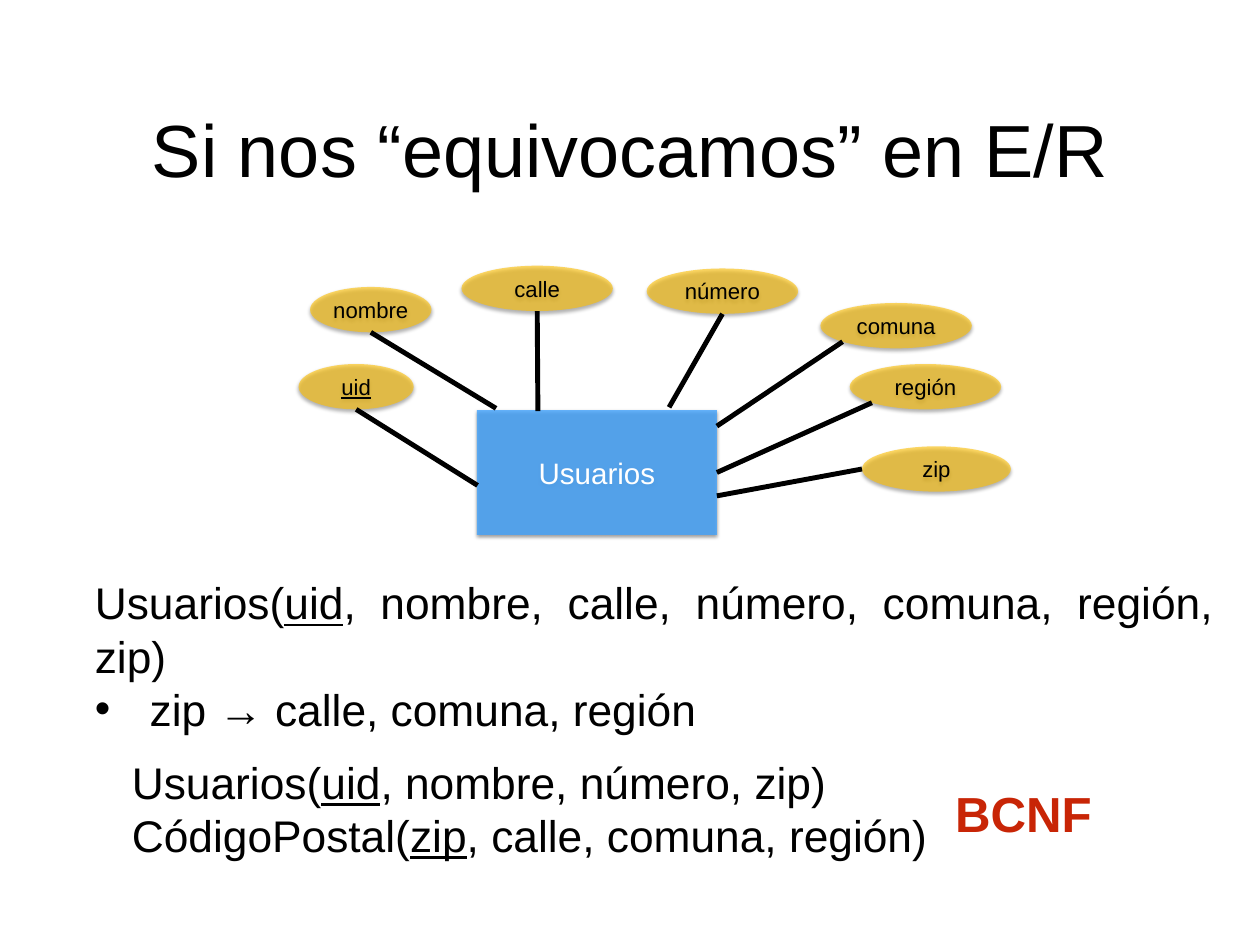
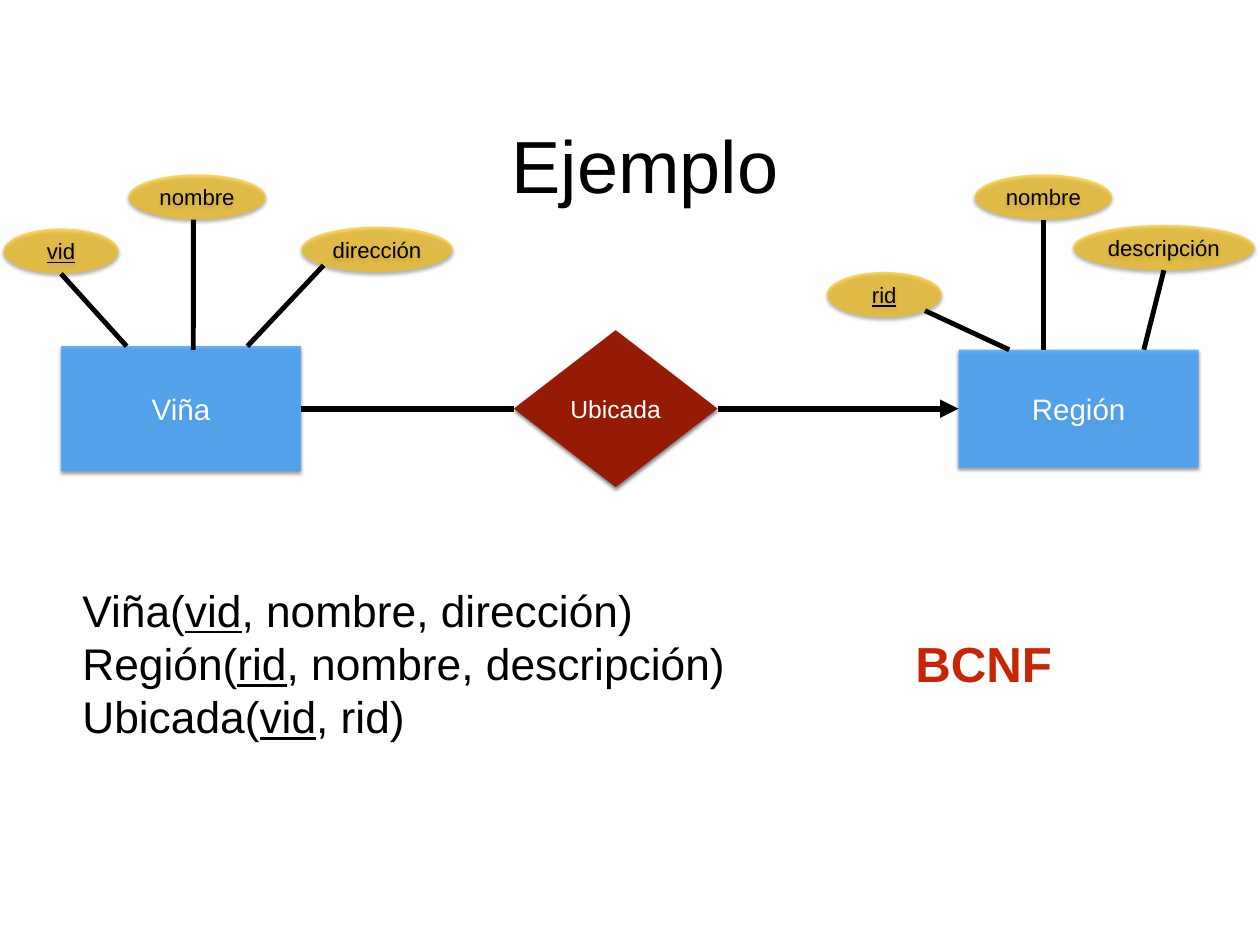
"""Build two slides on E/R diagrams and BCNF."""
import dataclasses
import math

import lxml.etree
import pptx
import pptx.dml.color
import pptx.enum.shapes
import pptx.enum.text
import pptx.oxml.ns
import pptx.util

Cm = pptx.util.Cm
Pt = pptx.util.Pt
qn = pptx.oxml.ns.qn
Kind = pptx.enum.shapes.MSO_SHAPE
Align = pptx.enum.text.PP_ALIGN


@dataclasses.dataclass(frozen=True)
class Theme:
    """Colours, font and type sizes in points."""
    font: str = "Arial"
    ink: str = "000000"
    white: str = "FFFFFF"
    blue: str = "42A3FD"
    gold: str = "FFC000"
    brick: str = "961B04"
    red: str = "C82506"
    title: int = 60
    badge: int = 40
    body: int = 36
    box: int = 24
    link: int = 20
    oval: int = 18
    thin: int = 4
    thick: int = 5


THEME = Theme()


def rgb(code):
    """Turn a hex code into a colour."""
    return pptx.dml.color.RGBColor.from_string(code)


def sub(node, tag, **attrs):
    """Add a drawing element with attributes."""
    return lxml.etree.SubElement(node, qn(tag), attrs)


def write(para, text, size, color, align, bold=False):
    """Fill a paragraph, underlining the parts between underscores."""
    para.alignment = align
    for i, part in enumerate(text.split("_")):
        if part:
            run = para.add_run()
            run.text = part
            font = run.font
            font.name, font.size, font.bold = THEME.font, Pt(size), bold
            font.color.rgb = rgb(color)
            font.underline = i % 2 == 1


def frame(shape, wrap):
    """Set margins, anchor and wrapping, and return the text frame."""
    text = shape.text_frame
    text.margin_left = text.margin_right = Cm(0.15)
    text.margin_top = text.margin_bottom = Cm(0.15)
    text.vertical_anchor = pptx.enum.text.MSO_ANCHOR.MIDDLE
    text.word_wrap = wrap
    return text


def label(slide, lines, area, size, color=THEME.ink, align=Align.JUSTIFY,
          bold=False):
    """Add a text box with one paragraph per line."""
    box = slide.shapes.add_textbox(*map(Cm, area))
    text = frame(box, True)
    text.auto_size = pptx.enum.text.MSO_AUTO_SIZE.SHAPE_TO_FIT_TEXT
    for i, line in enumerate(lines):
        para = text.add_paragraph() if i else text.paragraphs[0]
        write(para, line, size, color, align, bold)
    return text


def title(slide, text, left, top, width):
    """Add the slide title."""
    label(slide, [text], (left, top, width, 2.84), THEME.title,
          align=Align.CENTER)


def badge(slide, left, top):
    """Add the red normal form mark."""
    label(slide, ["BCNF"], (left, top, 8.28, 2), THEME.badge, THEME.red,
          bold=True)


def bullet(para):
    """Give a paragraph a hanging bullet."""
    props = para._p.get_or_add_pPr()
    props.set("marL", str(Cm(1.57)))
    props.set("indent", str(Cm(-1.57)))
    sub(sub(props, "a:buClr"), "a:srgbClr", val=THEME.ink)
    sub(props, "a:buFont", typeface=THEME.font)
    sub(props, "a:buChar", char="•")


def node(slide, kind, text, area, fill, size, color=THEME.white, alpha=100):
    """Add a filled shape with a soft shadow and centred text."""
    shape = slide.shapes.add_shape(kind, *map(Cm, area))
    shape.fill.solid()
    shape.fill.fore_color.rgb = rgb(fill)
    shape.line.fill.background()
    shape.shadow.inherit = False
    props = shape.element.spPr
    if alpha < 100:
        paint = props.find(qn("a:solidFill"))[0]
        sub(paint, "a:alpha", val=str(alpha * 1000))
    shade = sub(props.find(qn("a:effectLst")), "a:outerShdw",
                blurRad=str(Pt(3)), dist=str(Pt(2)), dir="5400000",
                rotWithShape="0")
    sub(sub(shade, "a:srgbClr", val=THEME.ink), "a:alpha", val="50000")
    write(frame(shape, False).paragraphs[0], text, size, color, Align.CENTER)
    return shape


def entity(slide, text, left, top, height):
    """Add an entity box."""
    return node(slide, Kind.RECTANGLE, text, (left, top, 6.88, height),
                THEME.blue, THEME.box, alpha=80)


def wire(slide, start, end, width):
    """Add a straight black line between two points."""
    line = slide.shapes.add_connector(
        pptx.enum.shapes.MSO_CONNECTOR.STRAIGHT, *map(Cm, start + end))
    line.line.color.rgb = rgb(THEME.ink)
    line.line.width = Pt(width)
    sub(line.element.spPr, "a:effectLst")
    return line


def join(slide, first, second):
    """Link the right side of one shape to the left side of another."""
    line = wire(slide, (0, 0), (0, 0), THEME.thick)
    line.begin_connect(first, 3)
    line.end_connect(second, 1)
    return line


def field(slide, text, left, top, width, angle, end):
    """Add an attribute oval and its line, leaving the rim at an angle."""
    high = 1.3
    node(slide, Kind.OVAL, text, (left, top, width, high), THEME.gold,
         THEME.oval, THEME.ink, 60)
    turn = math.radians(angle)
    start = (left + width / 2 * (1 + math.cos(turn)),
             top + high / 2 * (1 + math.sin(turn)))
    return wire(slide, start, end, THEME.thin)


def users(slide):
    """Draw the slide on the mistaken design."""
    box = entity(slide, "Usuarios", 13.67, 11.76, 3.58)
    for item in (
        ("_uid_", 8.56, 10.44, 3.3, 90, (13.69, 13.92)),
        ("nombre", 8.89, 8.23, 3.48, 90, (14.22, 11.71)),
        ("calle", 13.23, 7.62, 4.34, 90, (15.42, 11.79)),
        ("número", 18.54, 7.7, 4.34, 90, (19.18, 11.68)),
        ("comuna", 23.52, 8.69, 4.34, 135, (20.55, 12.22)),
        ("zip", 24.71, 12.8, 4.27, 180, (20.55, 14.22)),
    ):
        field(slide, *item)
    line = field(slide, "región", 24.36, 10.44, 4.34, 135, (20.55, 13.55))
    line.end_connect(box, 3)
    text = label(slide, [
        "Usuarios(_uid_, nombre, calle, número, comuna, región, zip)",
        "zip → calle, comuna, región",
    ], (2.57, 17.12, 32.36, 3.35), THEME.body)
    bullet(text.paragraphs[1])
    label(slide, [
        "Usuarios(_uid_, nombre, número, zip)",
        "CódigoPostal(_zip_, calle, comuna, región)",
    ], (3.63, 21.51, 31.14, 3.35), THEME.body)
    badge(slide, 27.23, 22.3)
    title(slide, "Si nos “equivocamos” en E/R", 0, 2.82, 36.12)


def wines(slide):
    """Draw the slide with the example."""
    left = entity(slide, "Viña", 1.75, 9.93, 3.58)
    right = entity(slide, "Región", 27.48, 10.03, 3.38)
    link = node(slide, Kind.DIAMOND, "Ubicada", (14.73, 9.47, 5.84, 4.5),
                THEME.brick, THEME.link)
    join(slide, left, link)
    arrow = join(slide, link, right)
    sub(arrow.element.spPr.find(qn("a:ln")), "a:tailEnd", type="triangle")
    for item in (
        ("_vid_", 0.1, 6.55, 3.3, 90, (3.63, 9.93)),
        ("nombre", 3.68, 5, 3.94, 93, (5.54, 10.03)),
        ("dirección", 8.64, 6.5, 4.34, 135, (7.09, 9.93)),
        ("_rid_", 23.7, 7.8, 3.3, 45, (28.93, 10.03)),
        ("nombre", 27.94, 5, 3.94, 90, (29.91, 10.03)),
        ("descripción", 30.76, 6.45, 5.21, 90, (32.79, 10.03)),
    ):
        field(slide, *item)
    label(slide, [
        "Viña(_vid_, nombre, dirección)",
        "Región(_rid_, nombre, descripción)",
        "Ubicada(_vid_, rid)",
    ], (2.21, 16.56, 31.14, 4.9), THEME.body)
    badge(slide, 26.09, 18.01)
    title(slide, "Ejemplo", 13.46, 3.28, 10.06)


def main():
    """Build and save the deck."""
    deck = pptx.Presentation()
    deck.slide_width, deck.slide_height = Cm(36.12), Cm(27.1)
    for draw in (users, wines):
        draw(deck.slides.add_slide(deck.slide_layouts[6]))
    deck.save("out.pptx")


if __name__ == "__main__":
    main()
